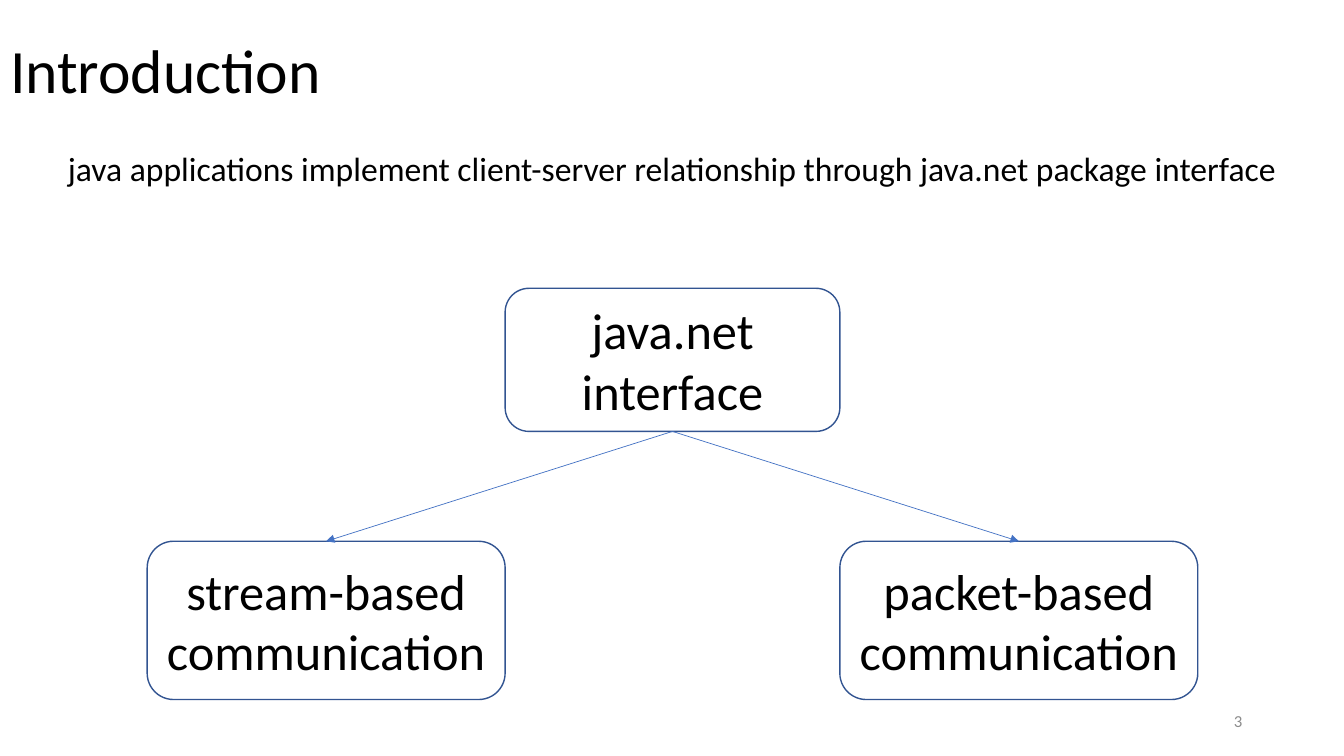
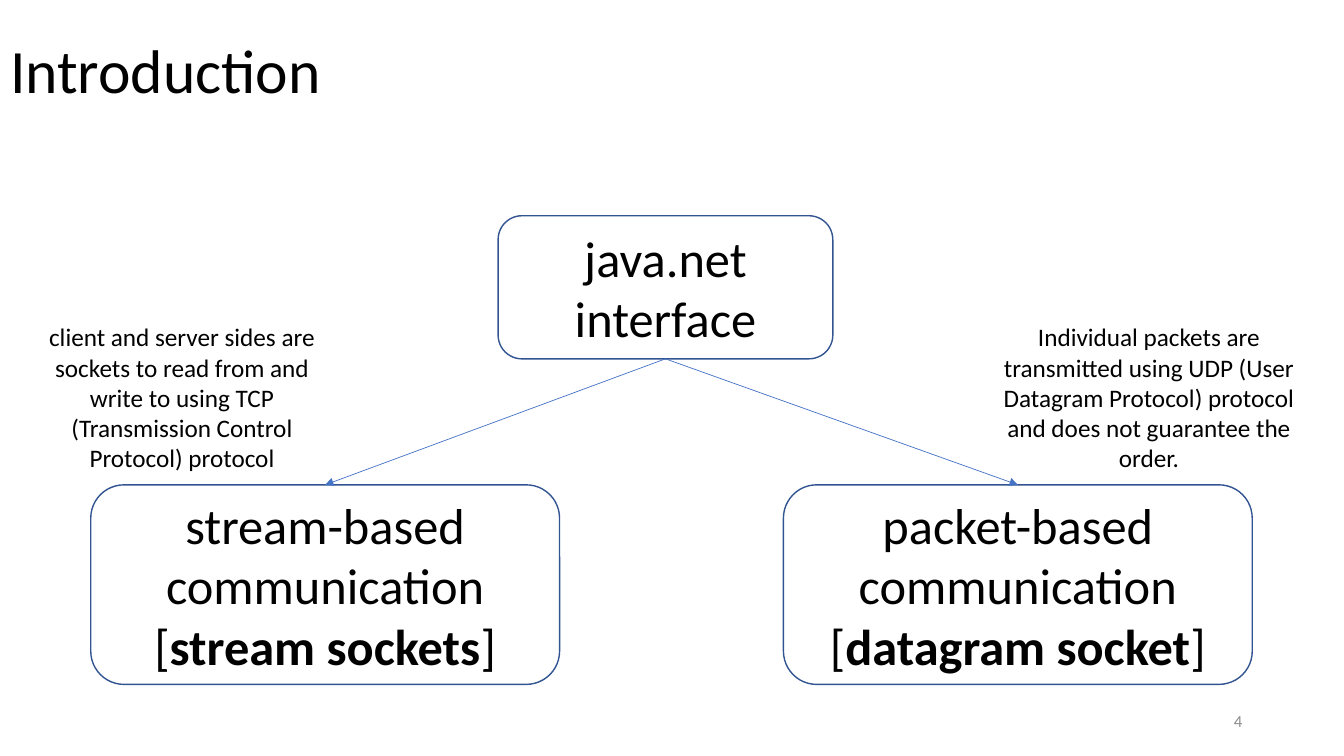
from dataclasses import dataclass

from lxml.etree import SubElement
from pptx import Presentation
from pptx.dml.color import RGBColor
from pptx.enum.shapes import MSO_CONNECTOR as Connector, MSO_SHAPE as Preset
from pptx.enum.text import MSO_ANCHOR as Anchor, MSO_AUTO_SIZE as AutoSize, PP_ALIGN as Align
from pptx.oxml.ns import qn
from pptx.shapes.autoshape import Shape
from pptx.slide import Slide
from pptx.util import Inches, Pt


@dataclass(frozen=True)
class Theme:
    font: str = "Calibri"
    text: RGBColor = RGBColor.from_string("000000")
    muted: RGBColor = RGBColor.from_string("8C8C8C")
    fill: RGBColor = RGBColor.from_string("FFFFFF")
    outline: RGBColor = RGBColor.from_string("325491")
    arrow: RGBColor = RGBColor.from_string("4472C4")
    title_size: int = 44
    node_size: int = 36
    body_size: int = 24
    note_size: int = 18
    number_size: int = 12


THEME = Theme()


@dataclass(frozen=True)
class Area:
    left: float
    top: float
    width: float
    height: float

    def lengths(self) -> tuple:
        return tuple(Inches(side) for side in (self.left, self.top, self.width, self.height))


@dataclass(frozen=True)
class Span:
    text: str
    bold: bool = False


@dataclass(frozen=True)
class Node:
    area: Area
    lines: tuple[tuple[Span, ...], ...]


@dataclass(frozen=True)
class Note:
    area: Area
    text: str


@dataclass(frozen=True)
class Page:
    number: int
    root: Node
    branches: tuple[Node, ...]
    statement: str = ""
    notes: tuple[Note, ...] = ()


TITLE = "Introduction"
TITLE_AREA = Area(0, 0, 13.33, 1.45)
BODY_AREA = Area(0, 1.46, 13.33, 6.04)
NUMBER_AREA = Area(9.42, 6.95, 3, 0.4)
TITLE_AND_BODY, TITLE_ONLY = 1, 5
TOP_SITE, BOTTOM_SITE = 0, 2


def root_node(left: float, top: float) -> Node:
    return Node(Area(left, top, 3.32, 1.42), ((Span("java.net"),), (Span("interface"),)))


def branch_node(area: Area, kind: str, socket: str = "") -> Node:
    lines = ((Span(f"{kind}-based"),), (Span("communication"),))
    if socket:
        lines += ((Span("["), Span(socket, bold=True), Span("]")),)
    return Node(area, lines)


PAGES = (
    Page(
        3,
        root_node(5.01, 2.86),
        (
            branch_node(Area(1.46, 5.37, 3.55, 1.57), "stream"),
            branch_node(Area(8.33, 5.37, 3.55, 1.57), "packet"),
        ),
        statement="java applications implement client-server relationship "
        "through java.net package interface",
    ),
    Page(
        4,
        root_node(4.94, 2.14),
        (
            branch_node(Area(0.9, 4.81, 4.65, 1.98), "stream", "stream sockets"),
            branch_node(Area(7.77, 4.81, 4.65, 1.98), "packet", "datagram socket"),
        ),
        notes=(
            Note(
                Area(0.25, 3.23, 3.11, 1.42),
                "client and server sides are sockets to read from and write to "
                "using TCP (Transmission Control Protocol) protocol",
            ),
            Note(
                Area(9.84, 3.23, 3.11, 1.42),
                "Individual packets are transmitted using UDP (User Datagram "
                "Protocol) protocol and does not guarantee the order.",
            ),
        ),
    ),
)


def write_text(
    box: Shape,
    lines: tuple[tuple[Span, ...], ...],
    size: int,
    align: Align = Align.CENTER,
    anchor: Anchor = Anchor.MIDDLE,
    color: RGBColor = THEME.text,
    spacing: float = 1.0,
) -> None:
    frame = box.text_frame
    frame_format = {"word_wrap": True, "auto_size": AutoSize.NONE, "vertical_anchor": anchor}
    for name, value in frame_format.items():
        setattr(frame, name, value)
    for index, line in enumerate(lines):
        para = frame.add_paragraph() if index else frame.paragraphs[0]
        para_format = {"alignment": align, "line_spacing": spacing, "space_before": Pt(0)}
        for name, value in para_format.items():
            setattr(para, name, value)
        for span in line:
            run = para.add_run()
            run.text = span.text
            font_format = {"name": THEME.font, "size": Pt(size), "bold": span.bold}
            for name, value in font_format.items():
                setattr(run.font, name, value)
            run.font.color.rgb = color


def place(box: Shape, area: Area) -> None:
    for name, value in zip(("left", "top", "width", "height"), area.lengths()):
        setattr(box, name, value)


def add_title(slide: Slide) -> None:
    title = slide.shapes.title
    place(title, TITLE_AREA)
    write_text(title, ((Span(TITLE),),), THEME.title_size, Align.LEFT, spacing=0.9)


def add_statement(slide: Slide, text: str) -> None:
    body = slide.placeholders[1]
    place(body, BODY_AREA)
    write_text(body, ((Span(text),),), THEME.body_size, anchor=Anchor.TOP, spacing=0.9)
    properties = body.text_frame.paragraphs[0]._p.get_or_add_pPr()
    for name in ("marL", "indent"):
        properties.set(name, "0")
    SubElement(properties, qn("a:buNone"))


def add_label(slide: Slide, area: Area, text: str, size: int, **text_format) -> None:
    box = slide.shapes.add_textbox(*area.lengths())
    write_text(box, ((Span(text),),), size, **text_format)


def add_node(slide: Slide, node: Node) -> Shape:
    box = slide.shapes.add_shape(Preset.ROUNDED_RECTANGLE, *node.area.lengths())
    box.shadow.inherit = False
    box.fill.solid()
    box.fill.fore_color.rgb = THEME.fill
    box.line.color.rgb = THEME.outline
    box.line.width = Pt(1)
    write_text(box, node.lines, THEME.node_size)
    return box


def add_arrow(slide: Slide, source: Shape, target: Shape) -> None:
    """Join the bottom of one box to the top of another."""
    arrow = slide.shapes.add_connector(Connector.STRAIGHT, 0, 0, 0, 0)
    arrow.begin_connect(source, BOTTOM_SITE)
    arrow.end_connect(target, TOP_SITE)
    arrow.line.color.rgb = THEME.arrow
    arrow.line.width = Pt(0.5)
    SubElement(arrow.line._get_or_add_ln(), qn("a:tailEnd"), type="triangle")
    SubElement(arrow._element.spPr, qn("a:effectLst"))


def add_page(deck: Presentation, page: Page) -> None:
    layout = TITLE_AND_BODY if page.statement else TITLE_ONLY
    slide = deck.slides.add_slide(deck.slide_layouts[layout])
    add_title(slide)
    if page.statement:
        add_statement(slide, page.statement)
    add_label(
        slide, NUMBER_AREA, str(page.number), THEME.number_size,
        align=Align.RIGHT, color=THEME.muted,
    )
    root = add_node(slide, page.root)
    branches = [add_node(slide, branch) for branch in page.branches]
    for branch in branches:
        add_arrow(slide, root, branch)
    for note in page.notes:
        add_label(slide, note.area, note.text, THEME.note_size)


def main() -> None:
    deck = Presentation()
    deck.slide_width, deck.slide_height = Inches(13.33), Inches(7.5)
    for page in PAGES:
        add_page(deck, page)
    deck.save("out.pptx")


if __name__ == "__main__":
    main()
